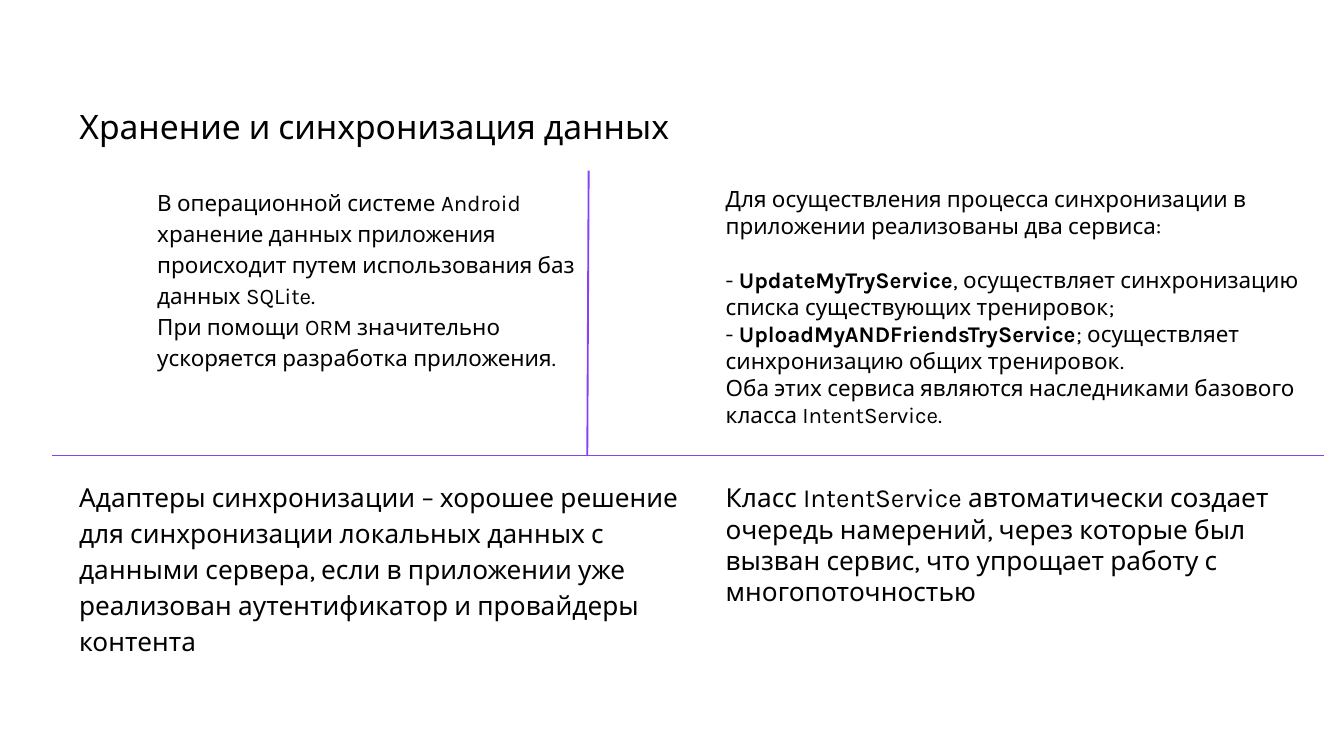
from lxml import etree
from pptx import Presentation
from pptx.dml.color import RGBColor
from pptx.enum.shapes import MSO_CONNECTOR
from pptx.oxml.ns import qn
from pptx.util import Inches, Pt

STRAIGHT = MSO_CONNECTOR.STRAIGHT
BLACK = RGBColor(0x00, 0x00, 0x00)
VIOLET = RGBColor(0x89, 0x40, 0xF5)
FONT = "Karla"
SLIDE_W = 10
SLIDE_H = SLIDE_W * 9 / 16

# Shared grid, in inches
LEFT_X, INDENT_X, RIGHT_X = 0.59, 1.17, 5.4
TOP_ROW_Y = 1.38
RULE_X, RULE_Y = 4.38, 3.39
INSET = 0.1
BLANK_LINE = 14.5  # height of one 12 pt line, in points


def add_text(slide, box, paragraphs, line_spacing=None, inset=0):
    """Each paragraph is (size, space before, runs); a run is (text, bold)."""
    frame = slide.shapes.add_textbox(*map(Inches, box)).text_frame
    frame.word_wrap = True
    frame.margin_left = frame.margin_right = Inches(inset)
    frame.margin_top = frame.margin_bottom = Inches(inset / 2)
    for index, (size, before, runs) in enumerate(paragraphs):
        paragraph = frame.paragraphs[0] if index == 0 else frame.add_paragraph()
        paragraph.space_before = Pt(before)
        if line_spacing:
            paragraph.line_spacing = line_spacing
        paragraph.font.name = FONT
        paragraph.font.size = Pt(size)
        paragraph.font.color.rgb = BLACK
        for text, bold in runs:
            run = paragraph.add_run()
            run.text = text
            if bold:
                run.font.bold = True


def add_rule(slide, start, end):
    rule = slide.shapes.add_connector(STRAIGHT, *map(Inches, start + end))
    rule.line.color.rgb = VIOLET
    rule.line.width = Pt(1)
    etree.SubElement(rule._element.spPr, qn("a:effectLst"))


def add_title(slide, box):
    add_text(slide, box, [(18, 0, [("Хранение и синхронизация данных", False)])])


def add_storage(slide, box):
    add_text(slide, box, [
        (12, 0, [("В операционной системе Android хранение данных приложения "
                  "происходит путем использования баз данных SQLite.", False)]),
        (12, 0, [("При помощи ORM значительно ускоряется разработка "
                  "приложения.", False)]),
    ], 1.15)


def add_services(slide, box):
    add_text(slide, box, [
        (12, 0, [("Для осуществления процесса синхронизации в приложении "
                  "реализованы два сервиса:", False)]),
        (12, BLANK_LINE, [
            ("- ", False), ("UpdateMyTryService", True),
            (", осуществляет синхронизацию списка существующих "
             "тренировок;", False)]),
        (12, 0, [
            ("- ", False), ("UploadMyANDFriendsTryService", True),
            ("; осуществляет синхронизацию общих тренировок.", False)]),
        (12, 0, [("Оба этих сервиса являются наследниками базового класса "
                  "IntentService.", False)]),
        (14, 2 * BLANK_LINE, [
            ("Класс IntentService автоматически создает очередь намерений, "
             "через которые был вызван сервис, что упрощает работу с "
             "многопоточностью", False)]),
    ])


def add_adapters(slide, box):
    add_text(slide, box, [
        (14, 0, [("Адаптеры синхронизации – хорошее решение для синхронизации "
                  "локальных данных с данными сервера, если в приложении уже "
                  "реализован аутентификатор и провайдеры контента", False)]),
    ], 1.15, INSET)


def main():
    presentation = Presentation()
    presentation.slide_width = Inches(SLIDE_W)
    presentation.slide_height = Inches(SLIDE_H)
    slide = presentation.slides.add_slide(presentation.slide_layouts[6])

    # Title and the three text regions
    add_title(slide, (LEFT_X, 0.79, SLIDE_W - 2 * LEFT_X, 0.31))
    add_storage(slide, (INDENT_X, TOP_ROW_Y, 3.2, 1.91))
    add_services(slide, (RIGHT_X, TOP_ROW_Y, 4.36, 3.75))
    add_adapters(slide, (LEFT_X - INSET, 3.5, 5, 1.16))

    # Dividing rules
    add_rule(slide, (0.39, RULE_Y), (9.85, RULE_Y))
    add_rule(slide, (RULE_X, 1.27), (RULE_X - 0.01, RULE_Y))

    presentation.save("out.pptx")


if __name__ == "__main__":
    main()
